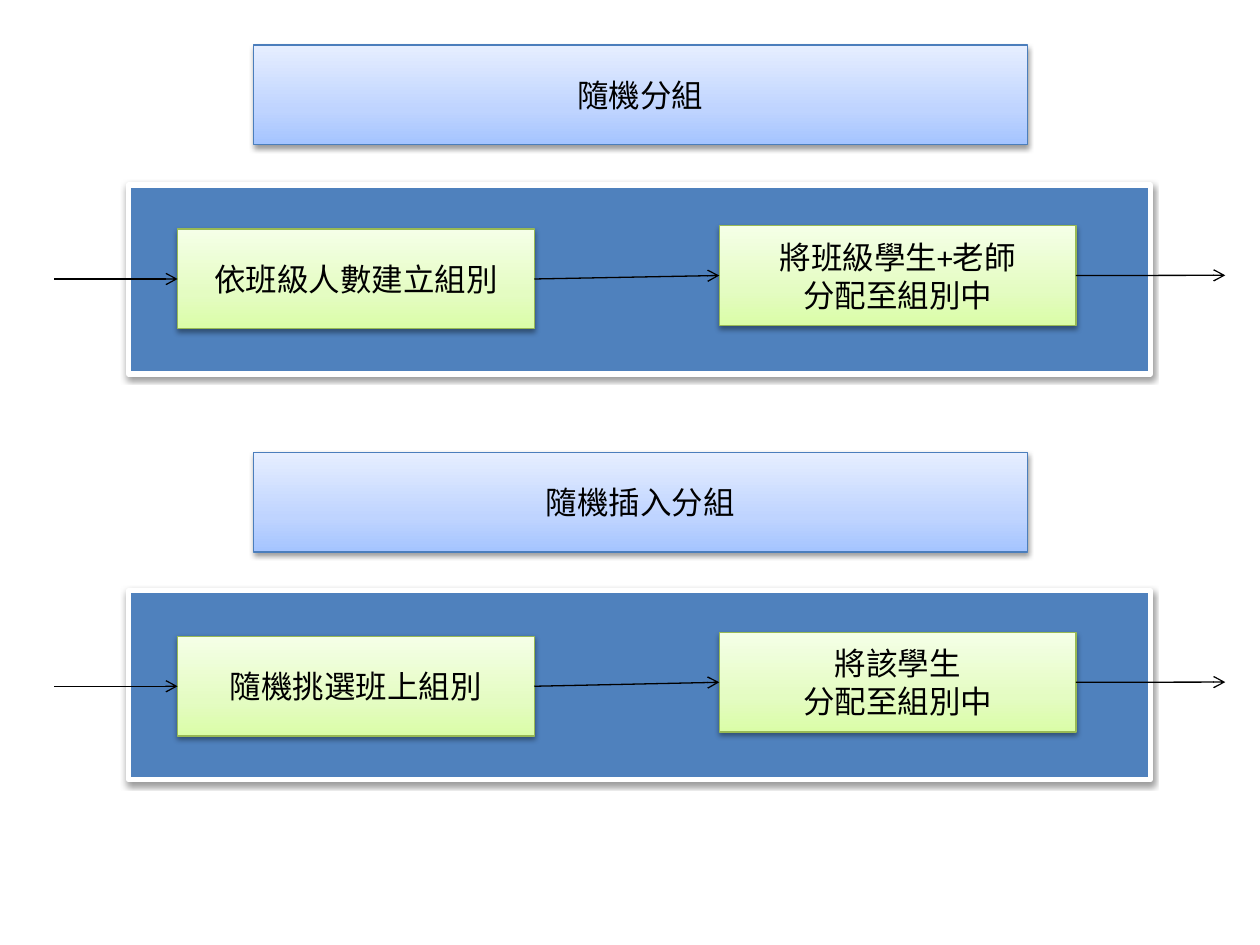
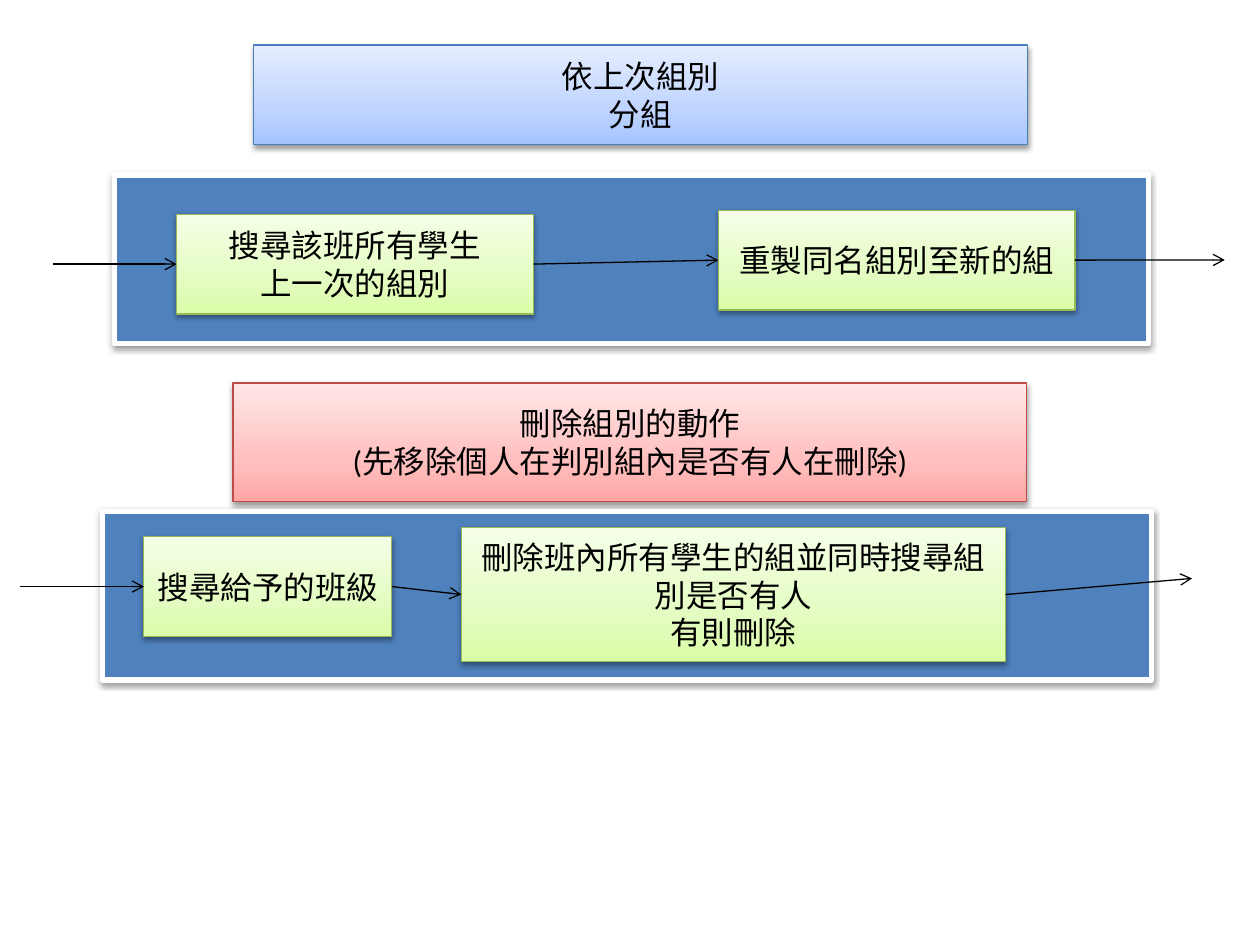
import pptx
import pptx.util
import pptx.oxml
import pptx.oxml.ns
import pptx.dml.color
import pptx.enum.shapes
import pptx.enum.text

Cm = pptx.util.Cm
Pt = pptx.util.Pt
RGBColor = pptx.dml.color.RGBColor
NS = pptx.oxml.ns.nsdecls("a")

# Shared colours: a gradient runs from the bottom edge to the top edge
BLACK = RGBColor(0x00, 0x00, 0x00)
WHITE = RGBColor(0xFF, 0xFF, 0xFF)
PANEL_BLUE = RGBColor(0x4F, 0x81, 0xBD)
BLUE_EDGE = RGBColor(0x4B, 0x7E, 0xBC)
BLUE_FADE = (RGBColor(0xA4, 0xC4, 0xFF), RGBColor(0xBF, 0xD4, 0xFF), RGBColor(0xE6, 0xEE, 0xFF))
GREEN_EDGE = RGBColor(0x98, 0xB9, 0x55)
GREEN_FADE = (RGBColor(0xDA, 0xFD, 0xA7), RGBColor(0xE4, 0xFC, 0xC2), RGBColor(0xF5, 0xFF, 0xE7))
RED_EDGE = RGBColor(0xBF, 0x4C, 0x48)
RED_FADE = (RGBColor(0xFF, 0xA6, 0xA5), RGBColor(0xFF, 0xC0, 0xBF), RGBColor(0xFF, 0xE7, 0xE7))

FADE_POSITIONS = (0, 35000, 100000)
FONT = "Calibri"
ENTRY_LENGTH = 2.49  # arrow leading into the first step
LEFT_SITE, RIGHT_SITE = 1, 3

# Each flow: heading, panel, two steps and the tip of the last arrow, in cm
BLUE = (BLUE_FADE, BLUE_EDGE)
RED = (RED_FADE, RED_EDGE)
slides = [
    [
        {"heading": ("隨機分組", (5.11, 0.91, 15.6, 2.01), BLUE),
         "panel": (2.59, 3.73, 20.6, 3.81),
         "steps": [("依班級人數建立組別", (3.58, 4.62, 7.19, 2.01)),
                   ("將班級學生+老師\n分配至組別中", (14.5, 4.55, 7.19, 2.01))],
         "exit": (24.7, 5.55)},
        {"heading": ("隨機插入分組", (5.11, 9.12, 15.6, 2.01), BLUE),
         "panel": (2.59, 11.91, 20.6, 3.81),
         "steps": [("隨機挑選班上組別", (3.58, 12.83, 7.19, 2.01)),
                   ("將該學生\n分配至組別中", (14.5, 12.75, 7.19, 2.01))],
         "exit": (24.7, 13.75)},
    ],
    [
        {"heading": ("依上次組別\n分組", (5.11, 0.91, 15.6, 2.01), BLUE),
         "panel": (2.31, 3.53, 20.85, 3.4),
         "steps": [("搜尋該班所有學生\n上一次的組別", (3.56, 4.32, 7.19, 2.01)),
                   ("重製同名組別至新的組", (14.48, 4.24, 7.19, 2.01))],
         "exit": (24.69, 5.24)},
        {"heading": ("刪除組別的動作\n(先移除個人在判別組內是否有人在刪除)",
                     (4.7, 7.72, 16, 2.39), RED),
         "panel": (2.06, 10.31, 21.16, 3.4),
         "steps": [("搜尋給予的班級", (2.9, 10.82, 5, 2.01)),
                   ("刪除班內所有學生的組並同時搜尋組別是否有人\n有則刪除",
                    (9.3, 10.64, 10.97, 2.69))],
         "exit": (24.03, 11.66)},
    ],
]


def add_box(slide, bounds, edge, edge_width, fade=None, text=""):
    """Shadowed rectangle, with a fading fill and centred text if given."""
    box = slide.shapes.add_shape(
        pptx.enum.shapes.MSO_SHAPE.RECTANGLE, *[Cm(length) for length in bounds])
    if fade:
        box.fill.gradient()
        box.fill.gradient_angle = 90
        stops = box.element.spPr.find(".//" + pptx.oxml.ns.qn("a:gsLst"))
        stops.clear()
        for position, color in zip(FADE_POSITIONS, fade):
            stops.append(pptx.oxml.parse_xml(
                f'<a:gs {NS} pos="{position}"><a:srgbClr val="{color}"/></a:gs>'))
    else:
        box.fill.solid()
        box.fill.fore_color.rgb = PANEL_BLUE
    box.line.color.rgb = edge
    box.line.width = Pt(edge_width)

    # Soft shadow straight below
    box.shadow.inherit = False
    box.element.spPr.find(pptx.oxml.ns.qn("a:effectLst")).append(pptx.oxml.parse_xml(
        f'<a:outerShdw {NS} blurRad="40000" dist="20000" dir="5400000" rotWithShape="0">'
        '<a:srgbClr val="000000"><a:alpha val="38000"/></a:srgbClr></a:outerShdw>'))

    if text:
        box.text_frame.text = text
        box.text_frame.word_wrap = True
        box.text_frame.vertical_anchor = pptx.enum.text.MSO_ANCHOR.MIDDLE
        for paragraph in box.text_frame.paragraphs:
            paragraph.alignment = pptx.enum.text.PP_ALIGN.CENTER
            for run in paragraph.runs:
                run.font.name = FONT
                run.font.size = Pt(18)
                run.font.color.rgb = BLACK
    return box


def add_arrow(slide, start, end, source=None, target=None):
    """Thin black arrow, glued to the steps it touches."""
    arrow = slide.shapes.add_connector(
        pptx.enum.shapes.MSO_CONNECTOR.STRAIGHT, *start, *end)
    if source:
        arrow.begin_connect(source, RIGHT_SITE)
    if target:
        arrow.end_connect(target, LEFT_SITE)
    arrow.line.color.rgb = BLACK
    arrow.line.width = Pt(0.75)
    arrow.line._get_or_add_ln().append(
        pptx.oxml.parse_xml(f'<a:tailEnd {NS} type="arrow"/>'))
    arrow.element.spPr.append(pptx.oxml.parse_xml(f"<a:effectLst {NS}/>"))


presentation = pptx.Presentation()
presentation.slide_width = Cm(25.4)
presentation.slide_height = Cm(19.05)
blank_layout = presentation.slide_layouts[6]

for flows in slides:
    slide = presentation.slides.add_slide(blank_layout)
    for flow in flows:
        # Heading and panel
        heading, bounds, (fade, edge) = flow["heading"]
        add_box(slide, bounds, edge, 0.75, fade, heading)
        add_box(slide, flow["panel"], WHITE, 3)

        # Steps
        first, second = [add_box(slide, bounds, GREEN_EDGE, 0.75, GREEN_FADE, text)
                         for text, bounds in flow["steps"]]

        # Arrows between, out of and into the steps
        first_middle = first.top + first.height // 2
        second_middle = second.top + second.height // 2
        first_right = (first.left + first.width, first_middle)
        second_right = (second.left + second.width, second_middle)
        add_arrow(slide, first_right, (second.left, second_middle), first, second)
        add_arrow(slide, second_right, [Cm(length) for length in flow["exit"]], second)
        add_arrow(slide, (first.left - Cm(ENTRY_LENGTH), first_middle),
                  (first.left, first_middle), target=first)

presentation.save("out.pptx")
